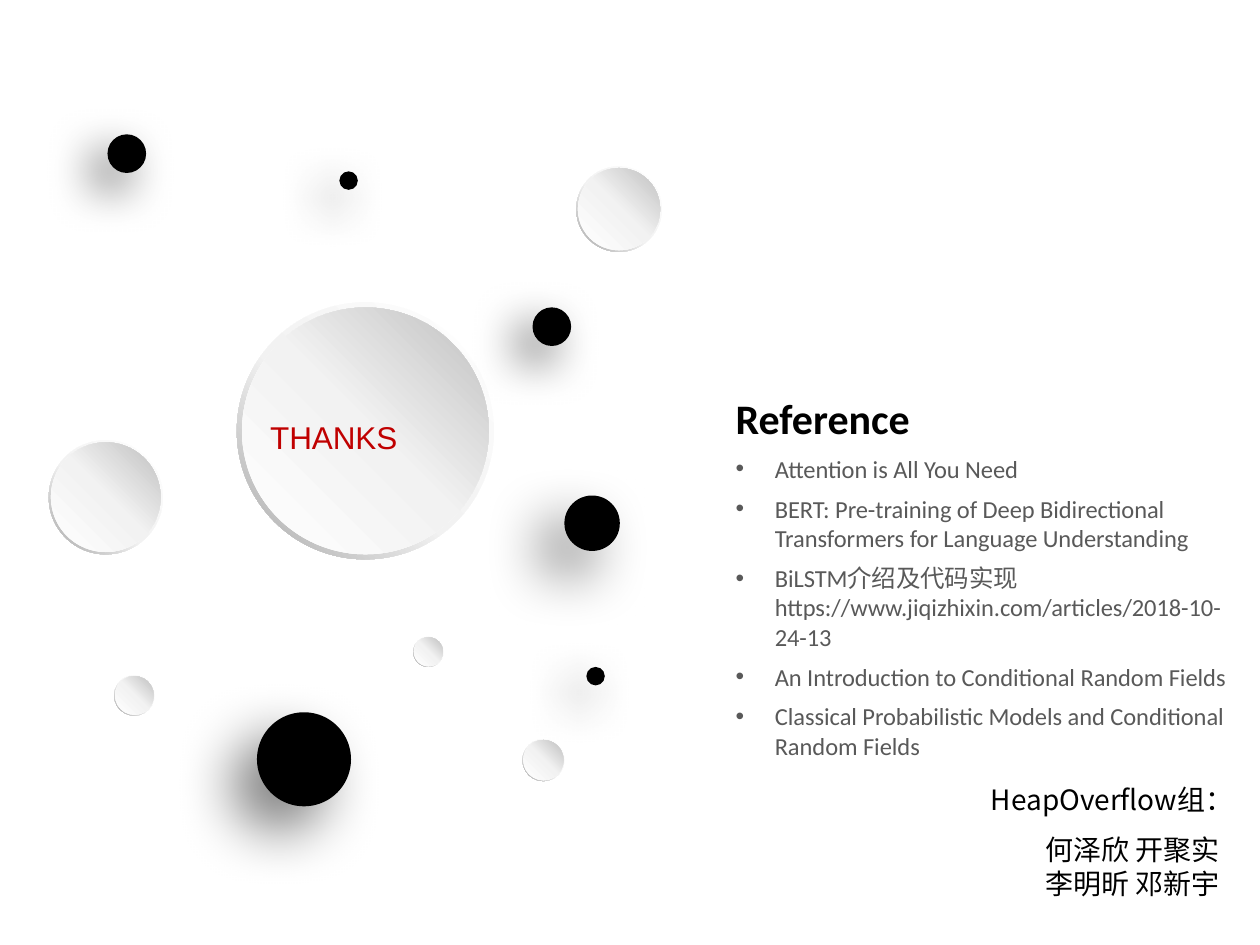
from typing import NamedTuple

from lxml import etree
from pptx import Presentation
from pptx.dml.color import RGBColor
from pptx.enum.shapes import MSO_SHAPE
from pptx.enum.text import MSO_AUTO_SIZE, PP_ALIGN
from pptx.oxml.ns import qn
from pptx.util import Inches, Pt

OVAL, DONUT = MSO_SHAPE.OVAL, MSO_SHAPE.DONUT
RIGHT = PP_ALIGN.RIGHT
GROW = MSO_AUTO_SIZE.SHAPE_TO_FIT_TEXT

WIDE = Inches(7.5)
HIGH = WIDE * 3 // 4
COLS = 75
CELL = WIDE / COLS  # square grid: a row is as high as a column is wide

HEX = {
    "white": "FFFFFF", "pale": "F2F2F2", "shade": "BFBFBF", "rim": "A6A6A6",
    "black": "000000", "red": "C00000", "grey": "595959",
}
CJK = "Noto Sans CJK SC"
FONTS = {
    "thanks": {"name": "Arial", "size": Pt(13.5), "color": "red"},
    "title": {"name": "Calibri", "size": Pt(18), "bold": True, "color": "black"},
    "item": {"name": "Calibri", "size": Pt(10.5), "color": "grey"},
    "team": {"name": CJK, "size": Pt(12), "color": "black"},
}
ITEM_GAP = {"space_after": Pt(4.5)}
TEAM_LINE = {"line_spacing": Pt(14.4)}
INDENT = 2.34


class Disc(NamedTuple):
    col: float
    row: float
    size: float


class Shade(NamedTuple):
    alpha: int
    blur: int
    dist: int


class Ball(NamedTuple):
    col: float
    row: float
    size: float
    shade: Shade


class Blend(NamedTuple):
    stops: tuple
    turn: int


class Line(NamedTuple):
    text: str
    font: str
    form: dict
    bullet: bool = False


class Note(NamedTuple):
    col: float
    row: float
    wide: float
    high: float
    wrap: bool
    lines: list


RIM = Blend(((0, "white"), (55, "pale"), (100, "rim")), 225)
FACE = Blend(((0, "white"), (51, "pale"), (100, "shade")), 45)
RIM_PART = 0.049
FACE_PART = 0.96

NEAR, FAR = Shade(60, 20, 10), Shade(50, 25, 15)

DISCS = [
    Disc(14.1, 18, 15.3), Disc(31.1, 44, 2.5), Disc(34.3, 9.9, 5.1),
    Disc(24.6, 37.9, 1.8), Disc(6.8, 40.2, 2.4), Disc(2.9, 26.2, 6.8),
]
BALLS = [
    Ball(6.4, 8, 2.3, NEAR), Ball(31.7, 18.3, 2.3, NEAR),
    Ball(15.3, 42.4, 5.6, FAR), Ball(34.9, 39.7, 1.1, NEAR),
    Ball(33.6, 29.5, 3.3, FAR), Ball(20.2, 10.2, 1.1, NEAR),
]
WORKS = [
    "Attention is All You Need",
    "BERT: Pre-training of Deep Bidirectional Transformers for Language Understanding",
    "BiLSTM介绍及代码实现 https://www.jiqizhixin.com/articles/2018-10-24-13",
    "An Introduction to Conditional Random Fields",
    "Classical Probabilistic Models and Conditional Random Fields",
]
NOTES = [
    Note(15.1, 24.4, 14.1, 3.3, False, [Line("THANKS", "thanks", {})]),
    Note(58, 46.1, 15.6, 8.1, True, [
        Line("HeapOverflow组：", "team", TEAM_LINE),
        Line("何泽欣 开聚实", "team",
             {**TEAM_LINE, "alignment": RIGHT, "space_before": Pt(7)}),
        Line("李明昕 邓新宇", "team", {**TEAM_LINE, "alignment": RIGHT}),
    ]),
    Note(42.8, 22.9, 31.8, 23.4, True,
         [Line("Reference", "title", ITEM_GAP)]
         + [Line(work, "item", ITEM_GAP, True) for work in WORKS]),
]


def grid(*cells: float) -> list[int]:
    return [round(cell * CELL) for cell in cells]


def tint(node, hue: str):
    """Add a solid colour to an XML node and return it."""
    return etree.SubElement(node, qn("a:srgbClr"), val=HEX[hue])


def add_round(shapes, kind, col: float, row: float, size: float):
    shape = shapes.add_shape(kind, *grid(col, row, size, size))
    shape.shadow.inherit = False
    shape.line.fill.background()
    return shape


def set_blend(shape, blend: Blend) -> None:
    shape.fill.gradient()
    shape.fill.gradient_angle = blend.turn
    stops = shape._element.spPr.find(".//" + qn("a:gsLst"))
    for stop in list(stops):
        stops.remove(stop)
    for pos, hue in blend.stops:
        tint(etree.SubElement(stops, qn("a:gs"), pos=str(pos * 1000)), hue)


def add_disc(slide, disc: Disc) -> None:
    shapes = slide.shapes.add_group_shape().shapes
    rim = add_round(shapes, DONUT, *disc)
    rim.adjustments[0] = RIM_PART
    set_blend(rim, RIM)
    edge = disc.size * (1 - FACE_PART) / 2
    face = add_round(shapes, OVAL, disc.col + edge, disc.row + edge,
                     disc.size * FACE_PART)
    set_blend(face, FACE)


def add_ball(slide, ball: Ball) -> None:
    shape = add_round(slide.shapes, OVAL, ball.col, ball.row, ball.size)
    shape.fill.solid()
    shape.fill.fore_color.rgb = RGBColor.from_string(HEX["black"])
    cast = etree.SubElement(
        shape._element.spPr.find(qn("a:effectLst")), qn("a:outerShdw"),
        blurRad=str(Pt(ball.shade.blur)), dist=str(Pt(ball.shade.dist)),
        dir=str(135 * 60000), algn="tr", rotWithShape="0")
    etree.SubElement(tint(cast, "black"), qn("a:alpha"),
                     val=str(ball.shade.alpha * 1000))


def add_bullet(para) -> None:
    props = para._p.get_or_add_pPr()
    inset, = grid(INDENT)
    props.set("marL", str(inset))
    props.set("indent", str(-inset))
    etree.SubElement(props, qn("a:buFont"), typeface="Arial")
    etree.SubElement(props, qn("a:buChar"), char="•")


def set_font(run, form: dict) -> None:
    for key, value in form.items():
        if key == "color":
            run.font.color.rgb = RGBColor.from_string(HEX[value])
        else:
            setattr(run.font, key, value)
    if form["name"] == CJK:
        etree.SubElement(run._r.get_or_add_rPr(), qn("a:ea"), typeface=CJK)


def add_note(slide, note: Note) -> None:
    box = slide.shapes.add_textbox(
        *grid(note.col, note.row, note.wide, note.high))
    frame = box.text_frame
    frame.word_wrap = note.wrap
    frame.auto_size = GROW
    for rank, line in enumerate(note.lines):
        para = frame.add_paragraph() if rank else frame.paragraphs[0]
        for key, value in line.form.items():
            setattr(para, key, value)
        if line.bullet:
            add_bullet(para)
        run = para.add_run()
        run.text = line.text
        set_font(run, FONTS[line.font])


def main() -> None:
    deck = Presentation()
    deck.slide_width, deck.slide_height = WIDE, HIGH
    slide = deck.slides.add_slide(deck.slide_layouts[6])
    for disc in DISCS:
        add_disc(slide, disc)
    for ball in BALLS:
        add_ball(slide, ball)
    for note in NOTES:
        add_note(slide, note)
    deck.save("out.pptx")


if __name__ == "__main__":
    main()
